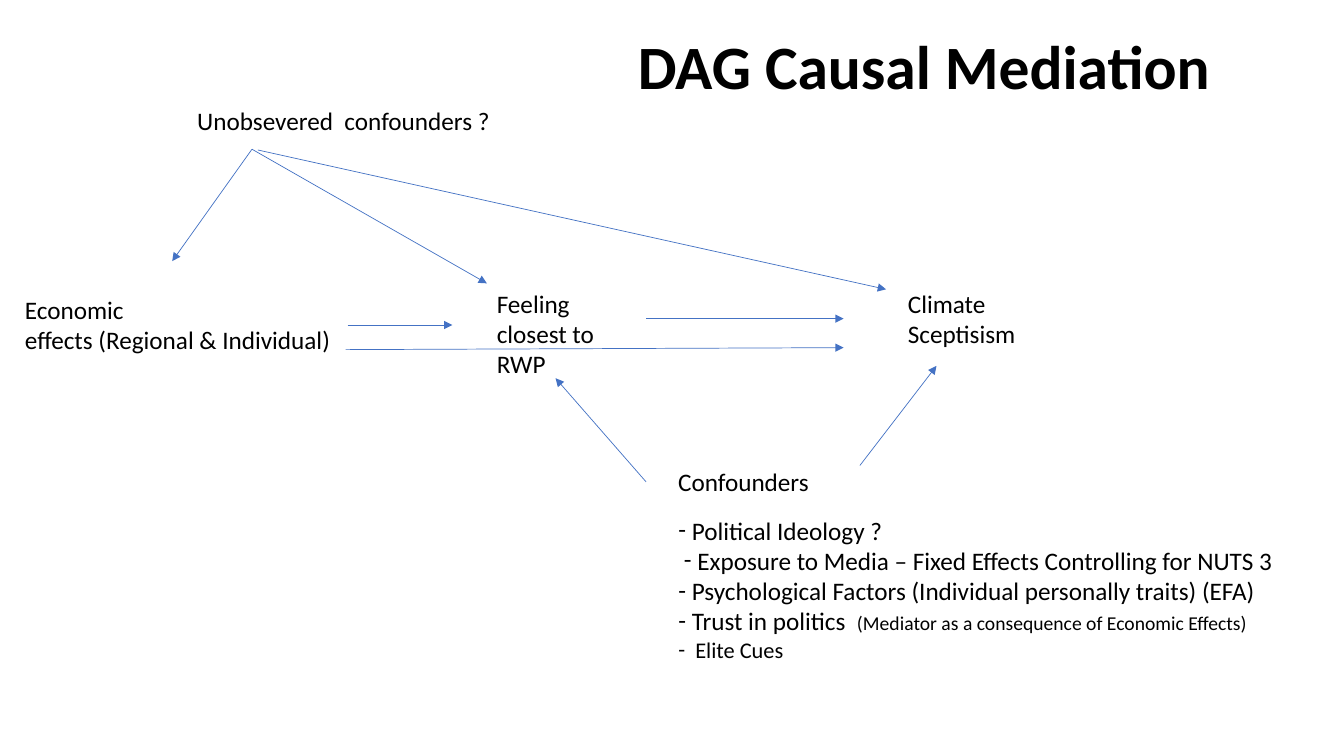
from dataclasses import dataclass

from lxml.etree import SubElement
from pptx import Presentation
from pptx.dml.color import RGBColor
from pptx.enum.shapes import MSO_CONNECTOR
from pptx.enum.text import MSO_ANCHOR, MSO_AUTO_SIZE, PP_ALIGN
from pptx.oxml.ns import qn
from pptx.shapes.base import BaseShape
from pptx.slide import Slide
from pptx.util import Cm, Pt

BLACK = RGBColor(0x00, 0x00, 0x00)
BLUE = RGBColor(0x44, 0x72, 0xC4)
FONT = "Calibri"


@dataclass(frozen=True)
class Node:
    text: str
    left: float
    top: float
    width: float
    height: float
    wrap: bool = True


@dataclass(frozen=True)
class Arrow:
    start: tuple[float, float]
    end: tuple[float, float]
    source: str = ""


@dataclass(frozen=True)
class Factor:
    text: str
    remark: str = ""
    size: int = 18
    offset: float = 0
    hang: float = 0.34


NODES = {
    "economy": Node("Economic\veffects (Regional & Individual)", 0.38, 7.29, 8.38, 1.8),
    "climate": Node("Climate Sceptisism", 22.63, 7.14, 4.04, 1.8),
    "party": Node("Feeling closest to RWP", 12.27, 7.14, 4.04, 2.57),
    "confounders": Node("Confounders", 16.84, 11.63, 3.84, 1.02, False),
    "unobserved": Node("Unobsevered  confounders ?", 4.72, 2.54, 7.98, 1.02, False),
}

ARROWS = [
    Arrow((8.76, 8.19), (11.4, 8.19), "economy"),
    Arrow((16.28, 8.03), (21.26, 8.03)),
    Arrow((16.28, 12.14), (14, 9.53)),
    Arrow((21.67, 11.73), (23.6, 9.22)),
    Arrow((6.35, 3.76), (4.34, 6.58)),
    Arrow((6.35, 3.76), (12.27, 7.14)),
    Arrow((6.5, 3.78), (22.33, 7.29)),
    Arrow((8.71, 8.81), (21.26, 8.76)),
]

FACTORS = [
    Factor("Political Ideology ?"),
    Factor("Exposure to Media – Fixed Effects Controlling for NUTS 3", offset=0.14),
    Factor("Psychological Factors (Individual personally traits) (EFA)"),
    Factor("Trust in politics  ", "(Mediator as a consequence of Economic Effects)"),
    Factor("Elite Cues", size=16, hang=0.43),
]


def place(shape: BaseShape, left: float, top: float, width: float, height: float) -> None:
    shape.left, shape.top = Cm(left), Cm(top)
    shape.width, shape.height = Cm(width), Cm(height)


def style_run(run, size: int, bold: bool = False) -> None:
    run.font.name = FONT
    run.font.size = Pt(size)
    run.font.bold = bold
    run.font.color.rgb = BLACK


def write_title(slide: Slide) -> None:
    title = slide.shapes.title
    place(title, 15.82, 0.79, 29.21, 3.68)
    frame = title.text_frame
    frame.text = "DAG Causal Mediation"
    frame.auto_size = MSO_AUTO_SIZE.NONE
    frame.vertical_anchor = MSO_ANCHOR.TOP
    heading = frame.paragraphs[0]
    heading.alignment = PP_ALIGN.LEFT
    heading.line_spacing = 0.9
    style_run(heading.runs[0], 44, True)


def write_factors(slide: Slide) -> None:
    body = slide.placeholders[1]
    place(body, 16.84, 12.85, 15.67, 4.01)
    frame = body.text_frame
    frame.auto_size = MSO_AUTO_SIZE.NONE
    frame.word_wrap = False
    frame.vertical_anchor = MSO_ANCHOR.TOP
    for index, factor in enumerate(FACTORS):
        item = frame.add_paragraph() if index else frame.paragraphs[0]
        item.text = factor.text
        style_run(item.runs[0], factor.size)
        if factor.remark:
            remark = item.add_run()
            remark.text = factor.remark
            style_run(remark, 14)
        properties = item._p.get_or_add_pPr()
        properties.set("marL", str(Cm(factor.offset + factor.hang)))
        properties.set("indent", str(-Cm(factor.hang)))
        SubElement(properties, qn("a:buFont"), typeface=FONT)
        SubElement(properties, qn("a:buChar"), char="-")
        item.alignment = PP_ALIGN.LEFT
        item.line_spacing = 1.0
        item.space_before = Pt(0)


def draw_node(slide: Slide, node: Node) -> BaseShape:
    label = slide.shapes.add_textbox(
        Cm(node.left), Cm(node.top), Cm(node.width), Cm(node.height)
    )
    frame = label.text_frame
    frame.text = node.text
    frame.word_wrap = node.wrap
    frame.auto_size = MSO_AUTO_SIZE.SHAPE_TO_FIT_TEXT
    for run in frame.paragraphs[0].runs:
        style_run(run, 18)
    return label


def draw_arrow(slide: Slide, arrow: Arrow, labels: dict[str, BaseShape]) -> None:
    start_x, start_y = arrow.start
    end_x, end_y = arrow.end
    link = slide.shapes.add_connector(
        MSO_CONNECTOR.STRAIGHT, Cm(start_x), Cm(start_y), Cm(end_x), Cm(end_y)
    )
    if arrow.source:
        link.begin_connect(labels[arrow.source], 3)
    link.line.color.rgb = BLUE
    link.line.width = Pt(0.5)
    SubElement(link.line._get_or_add_ln(), qn("a:tailEnd"), type="triangle")
    SubElement(link._element.spPr, qn("a:effectLst"))


def main() -> None:
    presentation = Presentation()
    presentation.slide_width = Cm(33.87)
    presentation.slide_height = Cm(19.05)
    slide = presentation.slides.add_slide(presentation.slide_layouts[1])
    write_title(slide)
    write_factors(slide)
    labels = {key: draw_node(slide, node) for key, node in NODES.items()}
    for arrow in ARROWS:
        draw_arrow(slide, arrow, labels)
    presentation.save("out.pptx")


if __name__ == "__main__":
    main()
